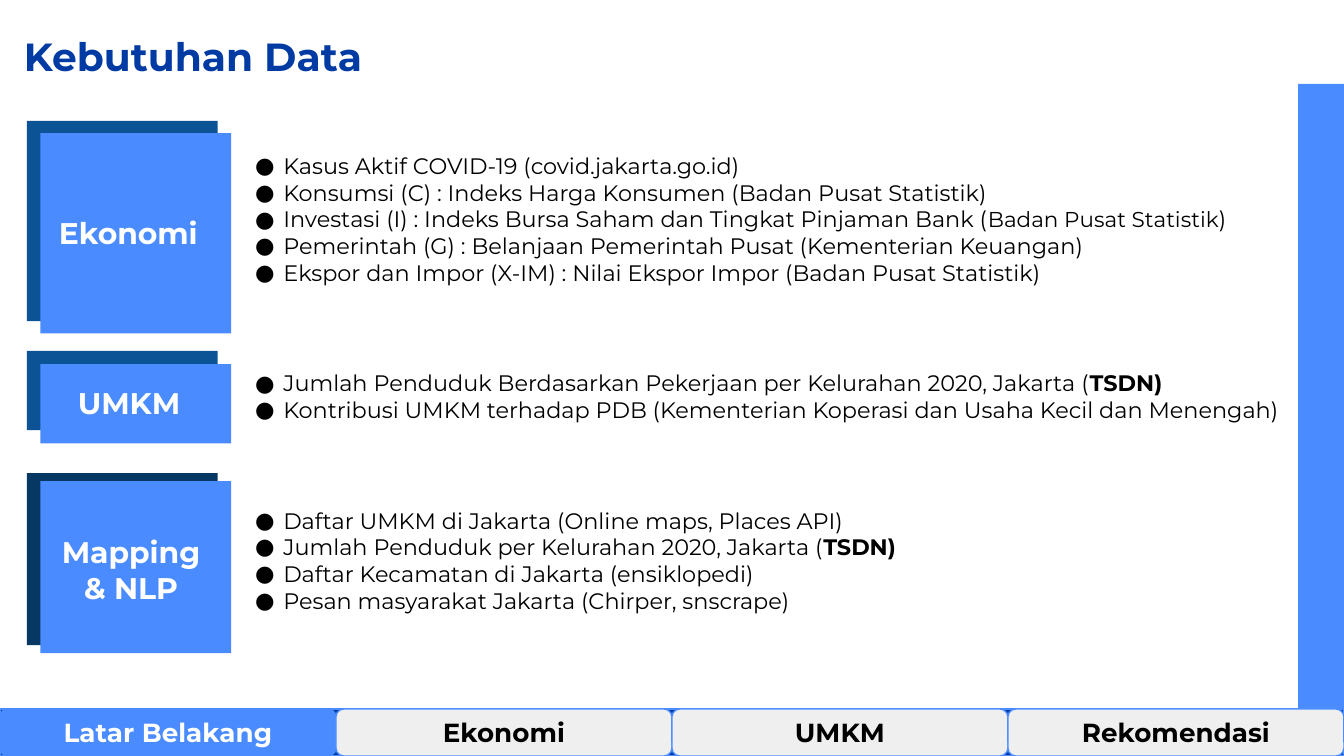
from dataclasses import dataclass

from lxml.etree import SubElement
from pptx import Presentation
from pptx.dml.color import RGBColor
from pptx.enum.shapes import MSO_SHAPE as Preset
from pptx.enum.text import MSO_ANCHOR as Anchor, PP_ALIGN as Align
from pptx.oxml.ns import qn
from pptx.util import Inches, Pt

# A 16:9 slide; the grid has 100 columns, and rows are as tall as columns are wide.
presentation = Presentation()
presentation.slide_width = Inches(10)
presentation.slide_height = presentation.slide_width * 9 // 16
CELL = presentation.slide_width / 100
FONT = "Montserrat"
BLUE, NAVY, OCEAN, MIDNIGHT = "4A8CFF", "003BA3", "0B5394", "073763"
WHITE, BLACK, GREY = "FFFFFF", "000000", "EFEFEF"


@dataclass
class Box:
    left: float
    top: float
    width: float
    height: float

    def lengths(self) -> list[int]:
        return [round(n * CELL) for n in (self.left, self.top, self.width, self.height)]


@dataclass
class Part:
    text: str
    bold: bool | None = None
    size: float | None = None


@dataclass
class Topic:
    name: str
    back: Box
    back_color: str
    front_top: float
    label: Box
    bullets: Box
    items: list[list[Part]]


def color(code: str) -> RGBColor:
    return RGBColor.from_string(code)


def set_font(paragraph, size: float, code: str, bold: bool) -> None:
    font = paragraph.font
    font.name, font.size, font.bold = FONT, Pt(size), bold
    font.color.rgb = color(code)


def prepare_frame(shape, anchor=Anchor.TOP):
    frame = shape.text_frame
    frame.word_wrap = True
    frame.vertical_anchor = anchor
    frame.margin_left = frame.margin_right = Inches(0.1)
    frame.margin_top = frame.margin_bottom = Inches(0.1)
    return frame


def write(shape, text: str, size: float, code: str, align, anchor=Anchor.TOP) -> None:
    paragraph = prepare_frame(shape, anchor).paragraphs[0]
    paragraph.text, paragraph.alignment = text, align
    set_font(paragraph, size, code, True)


def add_block(slide, box: Box, fill: str, line: str | None = None, preset=Preset.RECTANGLE):
    shape = slide.shapes.add_shape(preset, *box.lengths())
    shape.shadow.inherit = False
    shape.fill.solid()
    shape.fill.fore_color.rgb = color(fill)
    if line:
        shape.line.color.rgb = color(line)
        shape.line.width = Pt(0.75)
    else:
        shape.line.fill.background()
    return shape


def add_text(slide, box: Box, text: str, size: float, code: str, align, anchor=Anchor.TOP) -> None:
    write(slide.shapes.add_textbox(*box.lengths()), text, size, code, align, anchor)


def add_bullets(slide, box: Box, items: list[list[Part]]) -> None:
    frame = prepare_frame(slide.shapes.add_textbox(*box.lengths()))
    for index, parts in enumerate(items):
        paragraph = frame.add_paragraph() if index else frame.paragraphs[0]
        properties = paragraph._p.get_or_add_pPr()
        properties.set("marL", str(Inches(0.25)))
        properties.set("indent", str(Inches(-0.21)))
        bullet_color = SubElement(properties, qn("a:buClr"))
        SubElement(bullet_color, qn("a:srgbClr"), val=BLACK)
        SubElement(properties, qn("a:buFont"), typeface=FONT)
        SubElement(properties, qn("a:buChar"), char="●")
        set_font(paragraph, 12, BLACK, False)
        for part in parts:
            run = paragraph.add_run()
            run.text = part.text
            run.font.bold = part.bold
            if part.size:
                run.font.size = Pt(part.size)


def add_topic(slide, topic: Topic) -> None:
    front = Box(3, topic.front_top, topic.back.width, topic.back.height)
    add_block(slide, topic.back, topic.back_color)
    add_block(slide, front, BLUE)
    add_text(slide, topic.label, topic.name, 16, WHITE, Align.CENTER)
    add_bullets(slide, topic.bullets, topic.items)


TOPICS = [
    Topic("Ekonomi", Box(2, 9, 14.2, 14.9), OCEAN, 9.9,
          Box(2.5, 15, 14.1, 4.7), Box(17.6, 10.3, 84.3, 14.2), [
              [Part("Kasus Aktif COVID-19 (covid.jakarta.go.id)")],
              [Part("Konsumsi (C) : Indeks Harga Konsumen (Badan Pusat Statistik)")],
              [Part("Investasi (I) : Indeks Bursa Saham dan Tingkat Pinjaman Bank ("),
               Part("Badan Pusat Statistik", size=11.5), Part(")")],
              [Part("Pemerintah (G) : Belanjaan Pemerintah Pusat (Kementerian Keuangan)")],
              [Part("Ekspor dan Impor (X-IM) : Nilai Ekspor Impor (Badan Pusat Statistik)")],
          ]),
    Topic("UMKM", Box(2, 26.1, 14.2, 5.9), OCEAN, 27.1,
          Box(3.5, 27.6, 12.2, 4.7), Box(17.6, 26.5, 84.3, 7.1), [
              [Part("Jumlah Penduduk Berdasarkan Pekerjaan per Kelurahan 2020, Jakarta ("),
               Part("TSDN)", bold=True)],
              [Part("Kontribusi UMKM terhadap PDB "
                    "(Kementerian Koperasi dan Usaha Kecil dan Menengah)")],
          ]),
    Topic("Mapping & NLP", Box(2, 35.2, 14.2, 12.8), MIDNIGHT, 35.8,
          Box(2.7, 38.7, 14.1, 7.4), Box(17.6, 36.7, 84.3, 11.1), [
              [Part("Daftar UMKM di Jakarta (Online maps, Places API)")],
              [Part("Jumlah Penduduk per Kelurahan 2020, Jakarta ("),
               Part("TSDN)", bold=True)],
              [Part("Daftar Kecamatan di Jakarta (ensiklopedi)")],
              [Part("Pesan masyarakat Jakarta (Chirper, snscrape)")],
          ]),
]
TABS = ["Latar Belakang", "Ekonomi", "UMKM", "Rekomendasi"]

slide = presentation.slides.add_slide(presentation.slide_layouts[6])

# Side band and title
add_block(slide, Box(96.6, 6.25, 3.4, 50), BLUE)
add_text(slide, Box(0.8, 0.6, 84.3, 7.1), "Kebutuhan Data", 21, NAVY, Align.LEFT, Anchor.MIDDLE)

# Topics with their data sources
for topic in TOPICS:
    add_topic(slide, topic)

# Navigation bar, first tab active
BAR_TOP, BAR_HEIGHT = 52.75, 3.5
add_block(slide, Box(0, BAR_TOP, 100, BAR_HEIGHT), NAVY, BLUE)
tab_width = 100 / len(TABS)
for index, name in enumerate(TABS):
    fill, text_color = (GREY, BLACK) if index else (BLUE, WHITE)
    tab = add_block(slide, Box(index * tab_width, BAR_TOP, tab_width, BAR_HEIGHT),
                    fill, BLUE, Preset.ROUNDED_RECTANGLE)
    write(tab, name, 14, text_color, Align.CENTER, Anchor.MIDDLE)

presentation.save("out.pptx")
